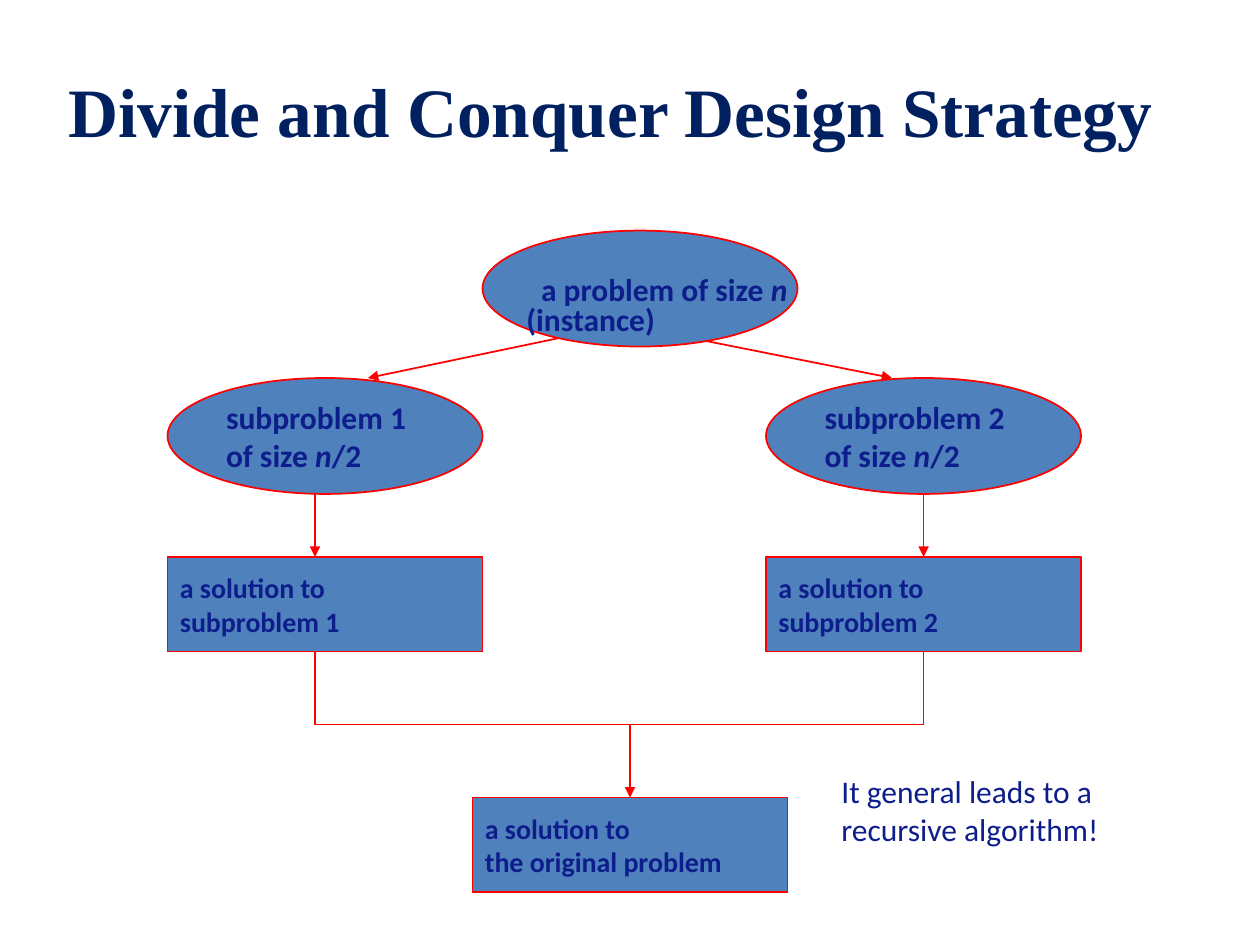
from dataclasses import dataclass

from lxml import etree
from pptx import Presentation
from pptx.dml.color import RGBColor
from pptx.enum.shapes import MSO_CONNECTOR, MSO_SHAPE
from pptx.enum.text import MSO_ANCHOR, MSO_AUTO_SIZE, PP_ALIGN
from pptx.oxml.ns import qn
from pptx.util import Inches, Pt

OVAL, RECT = MSO_SHAPE.OVAL, MSO_SHAPE.RECTANGLE
STRAIGHT = MSO_CONNECTOR.STRAIGHT
MIDDLE = MSO_ANCHOR.MIDDLE
LEFT, CENTER = PP_ALIGN.LEFT, PP_ALIGN.CENTER
GROW, FIXED = MSO_AUTO_SIZE.SHAPE_TO_FIT_TEXT, MSO_AUTO_SIZE.NONE


@dataclass(frozen=True)
class Theme:
    title: RGBColor = RGBColor(0x00, 0x20, 0x60)
    text: RGBColor = RGBColor(0x0E, 0x1D, 0x8C)
    fill: RGBColor = RGBColor(0x4F, 0x81, 0xBD)
    line: RGBColor = RGBColor(0xFF, 0x00, 0x00)
    head: str = "Times New Roman"
    body: str = "Calibri"
    big: float = 39.6
    mid: float = 18
    small: float = 16
    stroke: float = 1


theme = Theme()


def write(frame, lines, size, color=theme.text, font=theme.body, bold=True, align=LEFT):
    """Fill a frame; each line is a list of runs, and the run "n" is italic."""
    for i, runs in enumerate(lines):
        para = frame.paragraphs[0] if i == 0 else frame.add_paragraph()
        para.alignment = align
        for text in runs:
            run = para.add_run()
            run.text = text
            run.font.name = font
            run.font.size = Pt(size)
            run.font.color.rgb = color
            run.font.bold = bold
            run.font.italic = text == "n"


def link(x1, y1, x2, y2, arrow=True):
    line = slide.shapes.add_connector(
        STRAIGHT, Inches(x1), Inches(y1), Inches(x2), Inches(y2))
    line.line.color.rgb = theme.line
    line.line.width = Pt(theme.stroke)
    if arrow:
        etree.SubElement(line.line._get_or_add_ln(), qn("a:tailEnd"), type="triangle")
    etree.SubElement(line._element.spPr, qn("a:effectLst"))


deck = Presentation()
deck.slide_width, deck.slide_height = Inches(10), Inches(7.5)
slide = deck.slides.add_slide(deck.slide_layouts[5])

# Title
title = slide.shapes.title
title.left, title.top = Inches(0.33), Inches(0.25)
title.width, title.height = Inches(9.17), Inches(1.25)
title.text_frame.vertical_anchor = MIDDLE
title.text_frame.auto_size = FIXED
write(title.text_frame, [["Divide and Conquer Design Strategy "]],
      theme.big, theme.title, theme.head, align=CENTER)

# Arrows from the problem, drawn beneath its ellipse
split, top, bar, end = 2.67, 3, 5.75, 6.33
link(4.5, split, 2.92, top)
link(5.42, split, 7.08, top)

# Problem, two branches and combined solution
wide, oval, box = 2.5, 0.92, 0.75
solve = 4.42
nodes = [(OVAL, 3.83, 1.83, [["a problem of size ", "n"]])]
for num, left in ((1, 1.33), (2, 6.08)):
    nodes += [
        (OVAL, left, top, [[f"subproblem {num}"], ["of size ", "n", "/2"]]),
        (RECT, left, solve, [["a solution to"], [f"subproblem {num}"]]),
    ]
nodes.append((RECT, 3.75, end, [["a solution to"], ["the original problem"]]))

for kind, x, y, lines in nodes:
    high, size = (oval, theme.mid) if kind == OVAL else (box, theme.small)
    node = slide.shapes.add_shape(
        kind, Inches(x), Inches(y), Inches(wide), Inches(high))
    node.shadow.inherit = False
    node.fill.solid()
    node.fill.fore_color.rgb = theme.fill
    node.line.color.rgb = theme.line
    node.line.width = Pt(theme.stroke)
    node.text_frame.word_wrap = False
    node.text_frame.vertical_anchor = MIDDLE
    write(node.text_frame, lines, size)

# Branch lines down to the joining bar
stems = (2.5, 7.33)
for x in stems:
    link(x, top + oval, x, solve)
    link(x, solve + box, x, bar, arrow=False)
link(stems[0], bar, stems[1], bar, arrow=False)
link(5, bar, 5, end)

# Free text
notes = (
    (4.08, 2.33, 1.58, 0.4, "(instance)", True),
    (6.58, 6.08, 3, 0.71, "It general leads to a recursive algorithm!", False),
)
for x, y, w, h, text, bold in notes:
    note = slide.shapes.add_textbox(Inches(x), Inches(y), Inches(w), Inches(h))
    note.text_frame.word_wrap = True
    note.text_frame.auto_size = GROW
    write(note.text_frame, [[text]], theme.mid, bold=bold)

deck.save("out.pptx")
